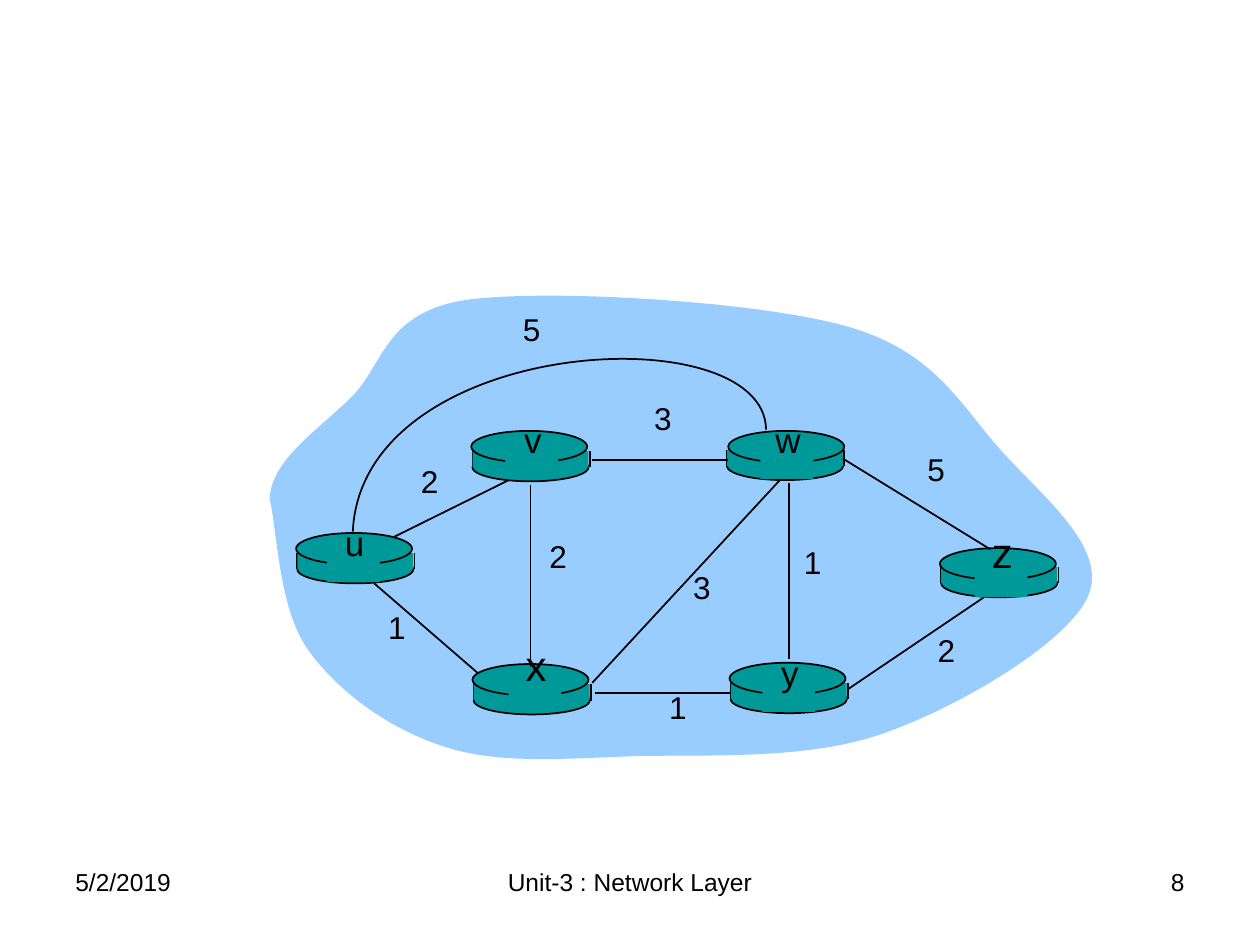
from lxml import etree
from pptx import Presentation
from pptx.dml.color import RGBColor
from pptx.enum.shapes import MSO_CONNECTOR as CONN, MSO_SHAPE as SHAPE
from pptx.enum.text import MSO_ANCHOR as ANCHOR, MSO_AUTO_SIZE as AUTO, PP_ALIGN as ALIGN
from pptx.oxml.ns import qn
from pptx.util import Inches, Pt

COLORS = {"ink": "000000", "cloud": "99CCFF", "router": "009999"}
FONT = "Arial"

CLOUD = [
    (0, 1.67), (0.01, 1.36), (0.39, 1.12), (0.65, 0.86),
    (0.91, 0.6), (0.91, 0.19), (1.56, 0.09),
    (2.22, 0), (3.87, 0.1), (4.58, 0.3),
    (5.29, 0.5), (5.49, 0.94), (5.81, 1.29),
    (6.13, 1.65), (6.65, 2.05), (6.5, 2.43),
    (6.35, 2.8), (5.49, 3.31), (4.9, 3.52),
    (4.31, 3.74), (3.52, 3.7), (2.93, 3.71),
    (2.34, 3.73), (1.81, 3.78), (1.37, 3.63),
    (0.94, 3.49), (0.53, 3.19), (0.3, 2.86),
    (0.07, 2.53), (0.06, 1.92), (0, 1.67),
]
ARC_U_W = [(3.94, 1.12), (3.93, 0.2), (0.73, 0.37), (0.66, 1.93)]
LINK_U_V = (0.99, 1.97, 2, 1.47)
LINKS = [
    (4.12, 1.54, 4.12, 2.94),
    (2.07, 1.56, 2.07, 3),
    (2.56, 3.13, 4.05, 1.52),
    (4.59, 3.18, 5.67, 2.45),
    (3.66, 3.21, 2.58, 3.21),
    (1.65, 3.05, 0.83, 2.34),
    (3.64, 1.36, 2.56, 1.36),
    (5.72, 2.07, 4.55, 1.35),
]
ROUTERS = [
    (0.21, 1.94, 0.01, 0.18),
    (1.61, 2.98, 0.01, 0.18),
    (1.6, 1.13, 0.01, 0.18),
    (3.64, 1.13, -0.01, 0.17),
    (3.65, 2.97, 0.01, 0.18),
    (5.32, 2.06, 0.01, 0.17),
]
NAMES = [
    ("u", 0.37, 1.8, 0.61, 20),
    ("y", 3.84, 2.83, 0.58, 20),
    ("x", 1.8, 2.74, 0.63, 24),
    ("w", 3.77, 0.98, 0.69, 20),
    ("v", 1.8, 0.98, 0.58, 20),
    ("z", 5.5, 1.84, 0.63, 24),
]
COSTS = [
    ("2", 0.98, 1.33), ("2", 2, 1.92), ("1", 0.72, 2.49), ("3", 3.14, 2.17),
    ("1", 2.95, 3.12), ("1", 4.02, 1.97), ("2", 5.08, 2.67), ("5", 5, 1.23),
    ("3", 2.83, 0.83), ("5", 1.79, 0.12),
]


def color(name):
    return RGBColor.from_string(COLORS[name])


def style(sp, fill=None, outlined=False):
    sp.shadow.inherit = False
    if fill:
        sp.fill.solid()
        sp.fill.fore_color.rgb = color(fill)
    else:
        sp.fill.background()
    if outlined:
        sp.line.color.rgb = color("ink")
        sp.line.width = Pt(1)
    else:
        sp.line.fill.background()


def add_block(shapes, kind, x, y, w, h, outlined=False):
    sp = shapes.add_shape(kind, Inches(x), Inches(y), Inches(w), Inches(h))
    style(sp, "router", outlined)


def add_line(shapes, x1, y1, x2, y2):
    line = shapes.add_connector(CONN.STRAIGHT, Inches(x1), Inches(y1), Inches(x2), Inches(y2))
    line.line.color.rgb = color("ink")
    line.line.width = Pt(1)
    etree.SubElement(line._element.spPr, qn("a:effectLst"))


def add_curve(shapes, x, y, points, closed=False):
    start, *rest = [(Inches(x + px), Inches(y + py)) for px, py in points]
    builder = shapes.build_freeform(*start)
    builder.add_line_segments(rest, close=closed)
    sp = builder.convert_to_shape()
    segments = sp._element.xpath(".//a:lnTo")[:len(rest)]
    for i in range(0, len(segments), 3):
        first, *others = segments[i:i + 3]
        first.tag = qn("a:cubicBezTo")
        for segment in others:
            first.append(segment[0])
            segment.getparent().remove(segment)
    return sp


def add_text(shapes, text, x, y, w, h, size, align=ALIGN.CENTER, wrap=False):
    tf = shapes.add_textbox(Inches(x), Inches(y), Inches(w), Inches(h)).text_frame
    tf.word_wrap = wrap
    tf.auto_size = AUTO.NONE if wrap else AUTO.SHAPE_TO_FIT_TEXT
    tf.vertical_anchor = ANCHOR.TOP
    tf.text = text
    p = tf.paragraphs[0]
    p.alignment = align
    font = p.runs[0].font
    font.name = FONT
    font.size = Pt(size)
    font.color.rgb = color("ink")


def add_router(shapes, x, y, dx, dy):
    left, side = x + dx, y + dy - 0.02
    add_block(shapes, SHAPE.OVAL, left, y + dy, 0.92, 0.22, True)
    for edge in (left, left + 0.93):
        add_line(shapes, edge, side, edge, side + 0.13)
    add_block(shapes, SHAPE.RECTANGLE, left, side, 0.92, 0.13)
    add_block(shapes, SHAPE.OVAL, x, y, 0.92, 0.25, True)


def add_name(shapes, text, x, y, w, size):
    drop, height = (0.18, 0.67) if size == 20 else (0.26, 0.77)
    add_block(shapes, SHAPE.RECTANGLE, x + w / 2 - 0.22, y + drop, 0.42, 0.35)
    add_text(shapes, text, x, y, w, height, size)


def add_network(s, x, y):
    shapes = s.shapes.add_group_shape().shapes
    style(add_curve(shapes, x, y, CLOUD, closed=True), "cloud")

    def link(x1, y1, x2, y2):
        add_line(shapes, x + x1, y + y1, x + x2, y + y2)

    link(*LINK_U_V)
    for left, top, dx, dy in ROUTERS:
        add_router(shapes, x + left, y + top, dx, dy)
    for ends in LINKS:
        link(*ends)
    style(add_curve(shapes, x, y, ARC_U_W), outlined=True)
    for text, left, top, w, size in NAMES:
        add_name(shapes, text, x + left, y + top, w, size)
    for text, left, top in COSTS:
        add_text(shapes, text, x + left, y + top, 0.58, 0.62, 18)


def add_footer(s, x, y, w, h):
    for text, left, width, align in [
        ("5/2/2019", x, 2.33, ALIGN.LEFT),
        ("Unit-3 : Network Layer", x + (w - 3.17) / 2, 3.17, ALIGN.CENTER),
        ("8", x + w - 2.33, 2.33, ALIGN.RIGHT),
    ]:
        add_text(s.shapes, text, left, y, width, h, 14, align, wrap=True)


def main():
    prs = Presentation()
    prs.slide_width, prs.slide_height = Inches(10), Inches(7.5)
    s = prs.slides.add_slide(prs.slide_layouts[6])
    add_footer(s, 0.5, 6.83, 9, 0.52)
    add_network(s, 2.14, 2.29)
    prs.save("out.pptx")


if __name__ == "__main__":
    main()
